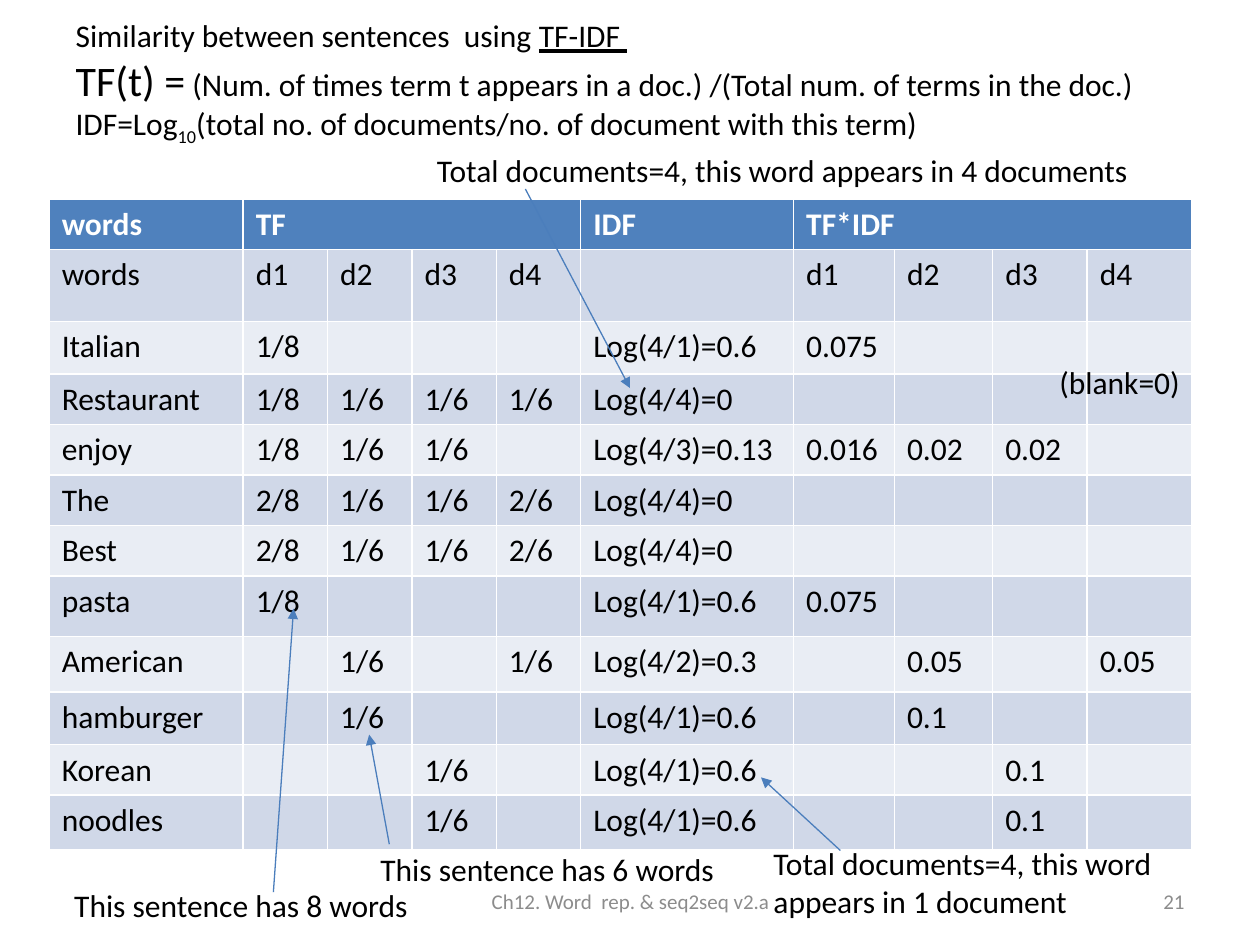
from dataclasses import dataclass

from lxml.etree import SubElement
from pptx import Presentation
from pptx.dml.color import RGBColor
from pptx.enum.shapes import MSO_CONNECTOR
from pptx.enum.text import MSO_ANCHOR, MSO_AUTO_SIZE, PP_ALIGN
from pptx.oxml.ns import qn
from pptx.util import Inches, Pt


@dataclass(frozen=True)
class Theme:
    font: str = "Calibri"
    ink: str = "000000"
    white: str = "FFFFFF"
    gray: str = "8C8C8C"
    head: str = "4F81BD"
    bands: tuple = ("D0D8E8", "E9EDF4")
    arrow: str = "4B7EBC"
    body: int = 18
    large: int = 24
    small: int = 12


@dataclass(frozen=True)
class Label:
    text: str
    box: tuple
    wrap: bool = False
    align: PP_ALIGN = PP_ALIGN.LEFT
    size: int = Theme.body
    color: str = Theme.ink
    anchor: MSO_ANCHOR = MSO_ANCHOR.TOP


@dataclass(frozen=True)
class Arrow:
    start: tuple
    end: tuple


@dataclass(frozen=True)
class Span:
    text: str
    size: int = Theme.body
    line: bool = False
    base: int = 0


THEME = Theme()

TITLE = (
    (Span("Similarity between sentences  using "), Span("TF-IDF ", line=True)),
    (Span("TF(t) =", size=THEME.large),
     Span(" (Num. of times term t appears in a doc.) /(Total num. of terms in the doc.)")),
    (Span("IDF=Log"), Span("10", base=-25000),
     Span("(total no. of documents/no. of document with this term)")),
)

# Columns: word, TF in d1-d4, IDF, TF*IDF in d1-d4
COLS = (1.54, 0.67, 0.67, 0.67, 0.67, 1.69, 0.8, 0.78, 0.75, 0.83)
HEIGHTS = (0.35, 0.57, 0.42, 0.38, 0.38, 0.38, 0.38, 0.48, 0.44, 0.42, 0.38, 0.43)
ROWS = (
    "words|TF||||IDF|TF*IDF|||",
    "words|d1|d2|d3|d4||d1|d2|d3|d4",
    "Italian|1/8||||Log(4/1)=0.6|0.075|||",
    "Restaurant|1/8|1/6|1/6|1/6|Log(4/4)=0||||",
    "enjoy|1/8|1/6|1/6||Log(4/3)=0.13|0.016|0.02|0.02|",
    "The|2/8|1/6|1/6|2/6|Log(4/4)=0||||",
    "Best|2/8|1/6|1/6|2/6|Log(4/4)=0||||",
    "pasta|1/8||||Log(4/1)=0.6|0.075|||",
    "American||1/6||1/6|Log(4/2)=0.3||0.05||0.05",
    "hamburger||1/6|||Log(4/1)=0.6||0.1||",
    "Korean|||1/6||Log(4/1)=0.6|||0.1|",
    "noodles|||1/6||Log(4/1)=0.6|||0.1|",
)
GROUPS = ((1, 4), (6, 9))

FOOTER = (
    Label("Ch12. Word  rep. & seq2seq v2.a", (3.42, 6.95, 3.17, 0.4), True,
          PP_ALIGN.CENTER, THEME.small, THEME.gray, MSO_ANCHOR.MIDDLE),
    Label("21", (7.17, 6.95, 2.33, 0.4), True,
          PP_ALIGN.RIGHT, THEME.small, THEME.gray, MSO_ANCHOR.MIDDLE),
)
NOTES = (
    Label("This sentence has 8 words", (0.49, 6.98, 2.88, 0.4)),
    Arrow((2.17, 7.08), (2.33, 4.83)),
    Label("This sentence has 6 words", (2.92, 6.7, 2.88, 0.4)),
    Arrow((3.09, 6.7), (2.93, 5.83)),
    Label("Total documents=4, this word appears in 4 documents", (3.37, 1.15, 5.74, 0.4)),
    Arrow((4.17, 1.5), (5, 3.08)),
    Label("Total documents=4, this word appears in 1 document", (6.04, 6.65, 3.21, 0.71), True),
    Arrow((6.67, 6.75), (6.04, 6.17)),
    Label("(blank=0)", (8.31, 2.83, 1.17, 0.71)),
)


def style(run, size: int, color: str, bold: bool = False) -> None:
    font = run.font
    font.name, font.size, font.bold = THEME.font, Pt(size), bold
    font.color.rgb = RGBColor.from_string(color)


def draw_title(slide) -> None:
    shape = slide.shapes.title
    shape.left, shape.top, shape.width, shape.height = map(Inches, (0.5, 0.3, 9.42, 1.25))
    frame = shape.text_frame
    frame.auto_size = MSO_AUTO_SIZE.NONE
    frame.vertical_anchor = MSO_ANCHOR.BOTTOM
    frame.margin_bottom = Inches(0.38)
    for i, spans in enumerate(TITLE):
        para = frame.add_paragraph() if i else frame.paragraphs[0]
        para.alignment = PP_ALIGN.LEFT
        for span in spans:
            run = para.add_run()
            run.text = span.text
            style(run, span.size, THEME.ink)
            run.font.underline = span.line
            if span.base:
                run.font._element.set("baseline", str(span.base))


def draw_label(slide, label: Label) -> None:
    frame = slide.shapes.add_textbox(*map(Inches, label.box)).text_frame
    frame.text = label.text
    frame.word_wrap = label.wrap
    frame.vertical_anchor = label.anchor
    para = frame.paragraphs[0]
    para.alignment = label.align
    style(para.runs[0], label.size, label.color)


def draw_arrow(slide, arrow: Arrow) -> None:
    points = map(Inches, arrow.start + arrow.end)
    line = slide.shapes.add_connector(MSO_CONNECTOR.STRAIGHT, *points)
    line.line.color.rgb = RGBColor.from_string(THEME.arrow)
    line.line.width = Pt(0.75)
    props = line._element.spPr
    SubElement(props.find(qn("a:ln")), qn("a:tailEnd"), type="triangle")
    SubElement(props, qn("a:effectLst"))


def draw_table(slide) -> None:
    box = map(Inches, (0.39, 1.58, sum(COLS), sum(HEIGHTS)))
    table = slide.shapes.add_table(len(ROWS), len(COLS), *box).table
    for col, width in zip(table.columns, COLS):
        col.width = Inches(width)
    for r, (row, height) in enumerate(zip(ROWS, HEIGHTS)):
        table.rows[r].height = Inches(height)
        fill = THEME.bands[(r - 1) % 2] if r else THEME.head
        color = THEME.ink if r else THEME.white
        for c, text in enumerate(row.split("|")):
            cell = table.cell(r, c)
            cell.fill.solid()
            cell.fill.fore_color.rgb = RGBColor.from_string(fill)
            if text:
                cell.text = text
                style(cell.text_frame.paragraphs[0].runs[0], THEME.body, color, r == 0)
    for first, last in GROUPS:
        table.cell(0, first).merge(table.cell(0, last))


def main() -> None:
    deck = Presentation()
    deck.slide_width, deck.slide_height = Inches(10), Inches(7.5)
    slide = deck.slides.add_slide(deck.slide_layouts[5])
    draw_title(slide)
    for label in FOOTER:
        draw_label(slide, label)
    draw_table(slide)
    # Remarks and their pointers over the table
    for note in NOTES:
        if isinstance(note, Arrow):
            draw_arrow(slide, note)
        else:
            draw_label(slide, note)
    deck.save("out.pptx")


if __name__ == "__main__":
    main()
